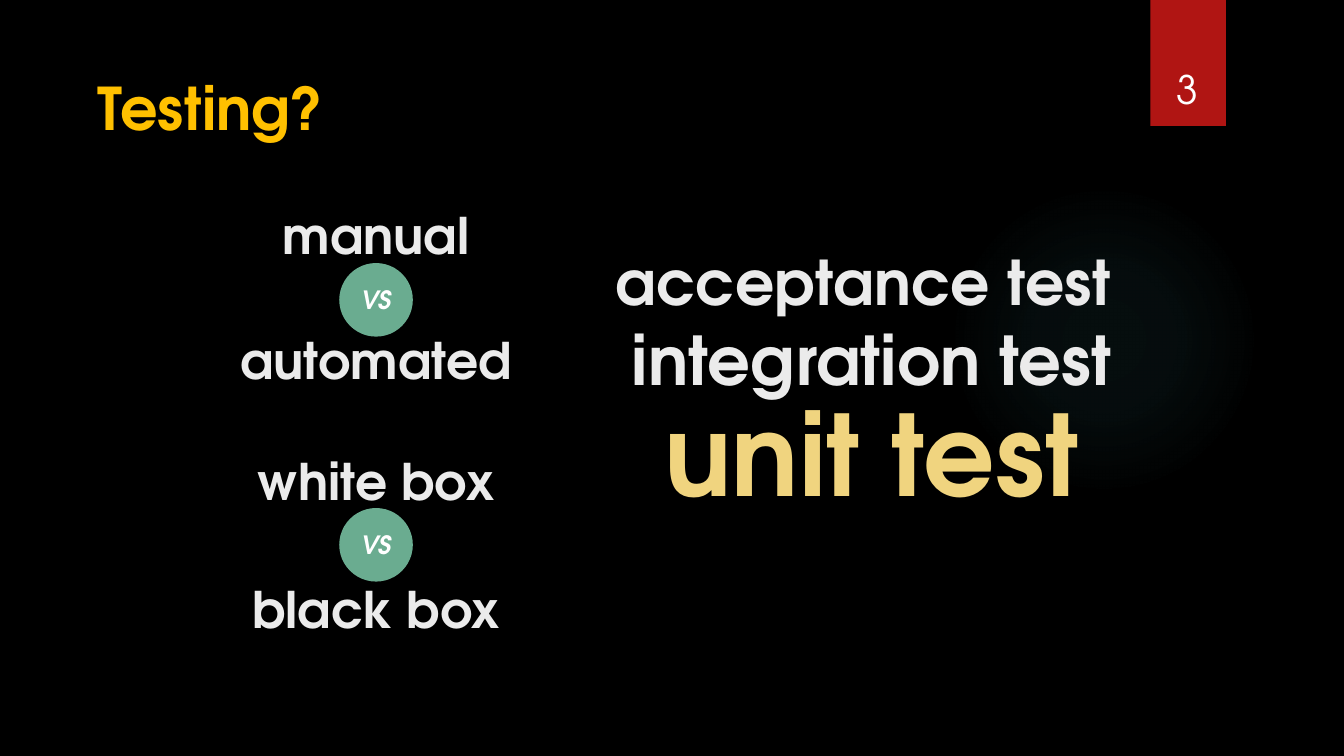
from lxml import etree
from pptx import Presentation
from pptx.dml.color import RGBColor
from pptx.enum.shapes import MSO_SHAPE
from pptx.enum.text import MSO_ANCHOR, PP_ALIGN
from pptx.oxml import parse_xml
from pptx.oxml.ns import nsdecls
from pptx.util import Inches, Pt

OVAL, RECT = MSO_SHAPE.OVAL, MSO_SHAPE.RECTANGLE
LEFT, CENTER = PP_ALIGN.LEFT, PP_ALIGN.CENTER
TOP, MIDDLE, BOTTOM = MSO_ANCHOR.TOP, MSO_ANCHOR.MIDDLE, MSO_ANCHOR.BOTTOM

FONT = "TeX Gyre Adventor"
COLORS = {"background": "000000", "ribbon": "B01513", "title": "FFC000",
          "light": "EBEBEB", "white": "FFFFFF", "badge": "6AAC90",
          "accent": "F0D47F", "glow": "50B9C1"}

# Content
TITLE = "Testing?"
PAGE = "3"
# upper word, lower word, tops of upper word, badge and lower word
CONTRASTS = [("manual", "automated", (1.98, 2.61, 3.22)),
             ("white box", "black box", (4.42, 5.04, 5.69))]
# text, top, size, colour
LEVELS = [("acceptance test ", 2.37, 44, "light"),
          ("integration test", 3.11, 48, "light"),
          ("unit test", 3.77, 80, "accent")]
GLOW_STOPS = [(0, 7), (36, 6), (69, 0)]  # position %, opacity %

# Layout, inches
CONTRAST_X, CONTRAST_W, WORD_H = 3.73, 3.09, 0.77
LEVEL_X, LEVEL_W, LEVEL_H = 8.65, 5.96, 1.07
BADGE = 0.73

prs = Presentation()
prs.slide_width, prs.slide_height = Inches(13.33), Inches(7.5)
s = prs.slides.add_slide(prs.slide_layouts[6])
s.background.fill.solid()
s.background.fill.fore_color.rgb = RGBColor.from_string(COLORS["background"])


def add_shape(kind, x, y, w, h, color):
    sp = s.shapes.add_shape(kind, Inches(x), Inches(y), Inches(w), Inches(h))
    sp.shadow.inherit = False
    sp.fill.solid()
    sp.fill.fore_color.rgb = RGBColor.from_string(COLORS[color])
    sp.line.fill.background()
    return sp


def write(sp, text, size=36, color="light", bold=True, italic=False,
          align=CENTER, anchor=TOP, wrap=True):
    tf = sp.text_frame
    tf.word_wrap = wrap
    tf.vertical_anchor = anchor
    p = tf.paragraphs[0]
    p.alignment = align
    r = p.add_run()
    r.text = text
    r.font.name, r.font.size = FONT, Pt(size)
    r.font.bold, r.font.italic = bold, italic
    r.font.color.rgb = RGBColor.from_string(COLORS[color])


def add_text(text, x, y, w, h, **fmt):
    box = s.shapes.add_textbox(Inches(x), Inches(y), Inches(w), Inches(h))
    write(box, text, **fmt)


# Soft glow behind the test levels
glow = add_shape(OVAL, 9.41, 1.83, 3.08, 3.08, "glow")
stops = "".join(
    f'<a:gs pos="{pos * 1000}"><a:srgbClr val="{COLORS["glow"]}">'
    f'<a:alpha val="{alpha * 1000}"/></a:srgbClr></a:gs>'
    for pos, alpha in GLOW_STOPS)
gradient = parse_xml(
    f'<a:gradFill {nsdecls("a")} rotWithShape="1"><a:gsLst>{stops}</a:gsLst>'
    '<a:path path="circle"><a:fillToRect l="50000" t="50000" r="50000" b="50000"/>'
    '</a:path></a:gradFill>')
solid = next(el for el in glow.fill._xPr if etree.QName(el).localname == "solidFill")
solid.getparent().replace(solid, gradient)

# Page ribbon and title
add_shape(RECT, 11.41, 0, 0.75, 1.25, "ribbon")
add_text(PAGE, 11.32, 0.32, 0.92, 0.84, size=28, color="white", bold=False, anchor=BOTTOM)
add_text(TITLE, 0.87, 0.66, 10.29, 1.53, size=42, color="title", align=LEFT)

# Contrasting pairs
for upper, lower, (upper_y, badge_y, lower_y) in CONTRASTS:
    for word, y in ((upper, upper_y), (lower, lower_y)):
        add_text(word, CONTRAST_X - CONTRAST_W / 2, y, CONTRAST_W, WORD_H)
    badge = add_shape(OVAL, CONTRAST_X - BADGE / 2, badge_y, BADGE, BADGE, "badge")
    write(badge, "VS", size=18, color="white", italic=True, anchor=MIDDLE, wrap=False)

# Test levels
for text, y, size, color in LEVELS:
    add_text(text, LEVEL_X - LEVEL_W / 2, y, LEVEL_W, LEVEL_H, size=size, color=color)

prs.save("out.pptx")
